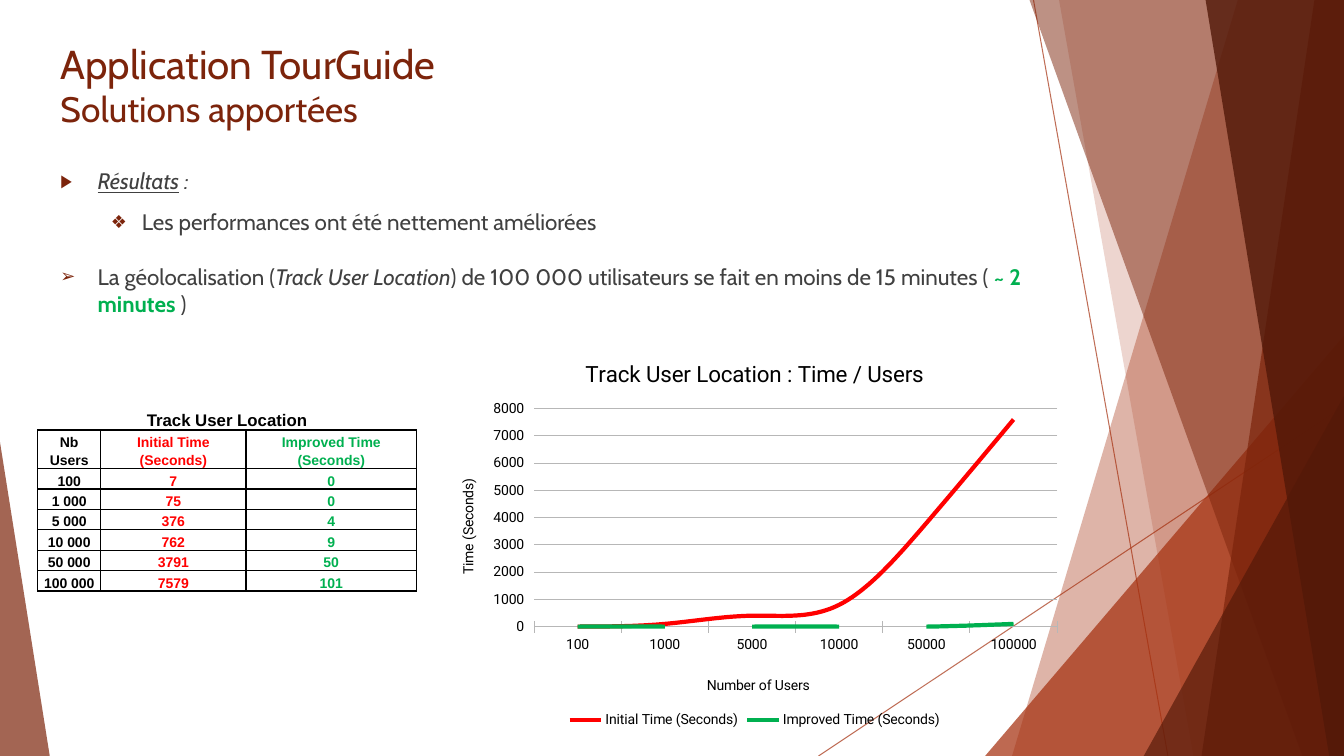
from lxml.etree import SubElement
from pptx import Presentation
from pptx.chart.data import CategoryChartData
from pptx.dml.color import RGBColor as RGB
from pptx.enum.chart import XL_CHART_TYPE as CT, XL_LEGEND_POSITION as LP
from pptx.enum.chart import XL_MARKER_STYLE as MS, XL_TICK_MARK as TM
from pptx.enum.shapes import MSO_CONNECTOR as CN, MSO_SHAPE as SH
from pptx.enum.text import MSO_ANCHOR as VA, MSO_AUTO_SIZE as FIT, PP_ALIGN as AL
from pptx.oxml.ns import qn
from pptx.util import Inches, Pt

COLORS = {"rust": "A5300F", "brown": "7C240B", "dark": "521808", "text": "404040",
          "black": "000000", "red": "FF0000", "green": "00B050", "grid": "B7B7B7"}
C = {name: RGB.from_string(value) for name, value in COLORS.items()}

prs = Presentation()
prs.slide_width, prs.slide_height = Inches(13.33), Inches(7.5)
s = prs.slides.add_slide(prs.slide_layouts[5])


def box(*shares):
    """Turn x, y, x, y... in percent of the slide into lengths."""
    sides = (prs.slide_width, prs.slide_height)
    return [round(share * sides[i % 2] / 100) for i, share in enumerate(shares)]


def add_run(p, text, size, color, font="Cabin", **style):
    """Append one formatted run to a paragraph."""
    r = p.add_run()
    r.text = text
    f = r.font
    f.size, f.name, f.color.rgb = Pt(size), font, C[color]
    f.bold, f.italic = style.get("bold", False), style.get("italic", False)
    f.underline = style.get("underline", False)


# Decoration: thin lines, then bands and corner triangles from back to front
decor = []
for ends in [(76.9, 0, 86.9, 100), (100, 53.7, 60.9, 100)]:
    line = s.shapes.add_connector(CN.STRAIGHT, *box(*ends))
    line.line.width = Pt(0.75)
    line.line.color.rgb = C["rust"]
    SubElement(line._element.spPr, qn("a:effectLst"))
    decor.append((line, 70))

# band: top x, bottom x; corner: left, top, width, apex
for kind, place, color, alpha in [
        ("band", (92.1, 75.3), "rust", 36),
        ("band", (78.8, 88.8), "rust", 20),
        ("corner", (73.3, 44.4, 26.7, 1), "rust", 72),
        ("band", (76.6, 96.9), "brown", 50),
        ("band", (97.8, 89.4), "brown", 70),
        ("band", (89.7, 98.9), "dark", 80),
        ("corner", (85.1, 52.4, 14.9, 1), "dark", 66),
        ("corner", (0, 58.5, 3.7, 0), "brown", 70)]:
    if kind == "band":
        top, bottom = place
        outline = s.shapes.build_freeform(*box(top, 0))
        outline.add_line_segments([box(100, 0), box(100, 100), box(bottom, 100)])
        shape = outline.convert_to_shape()
    else:
        left, top, width, apex = place
        shape = s.shapes.add_shape(SH.ISOSCELES_TRIANGLE, *box(left, top, width, 100 - top))
        shape.adjustments[0] = apex
    shape.shadow.inherit = False
    shape.fill.solid()
    shape.fill.fore_color.rgb = C[color]
    shape.line.fill.background()
    decor.append((shape, alpha))

for shape, alpha in decor:
    for clr in shape._element.iter(qn("a:srgbClr")):
        SubElement(clr, qn("a:alpha"), val=str(alpha * 1000))

# Title
title = s.shapes.title
title.left, title.top, title.width, title.height = box(3.75, 4.5, 70.5, 19.2)
tf = title.text_frame
tf.auto_size, tf.vertical_anchor = FIT.NONE, VA.TOP
p = tf.paragraphs[0]
p.alignment = AL.LEFT
add_run(p, "Application TourGuide", 28.8, "brown")
p.add_line_break()
add_run(p, "Solutions apportées", 25.2, "brown")

# Bulleted results: bullet, text indent, hanging, space before, runs
tf = s.shapes.add_textbox(*box(3.75, 21.5, 74.2, 22)).text_frame
tf.word_wrap = True
results = [
    ("▶", 0.37, 0.37, 10, [("Résultats", "text", {"italic": True, "underline": True}),
                           ("\u00a0:", "text", {"italic": True})]),
    ("❖", 0.81, 0.31, 10, [("Les performances ont été nettement améliorées", "text", {})]),
    ("➢", 0.37, 0.37, 20, [
        ("La géolocalisation (", "text", {}),
        ("Track User Location", "text", {"italic": True}),
        (") de 100\u00a0000 utilisateurs se fait en moins de 15 minutes ( ", "text", {}),
        ("~ 2 minutes ", "green", {"bold": True}),
        (")", "text", {})])]
for i, (bullet, indent, hanging, before, runs) in enumerate(results):
    p = tf.add_paragraph() if i else tf.paragraphs[0]
    p.space_before = Pt(before)
    for text, color, style in runs:
        add_run(p, text, 16, color, **style)
    pPr = p._p.get_or_add_pPr()
    pPr.set("marL", str(Inches(indent)))
    pPr.set("indent", str(-Inches(hanging)))
    SubElement(SubElement(pPr, qn("a:buClr")), qn("a:srgbClr"), val=COLORS["brown"])
    SubElement(pPr, qn("a:buSzPct"), val="80000")
    SubElement(pPr, qn("a:buFont"), typeface="Arial")
    SubElement(pPr, qn("a:buChar"), char=bullet)

# Timings shared by the table and, rounded to hundreds, the chart
users = [100, 1000, 5000, 10000, 50000, 100000]
series = [("Initial Time (Seconds)", [7, 75, 376, 762, 3791, 7579], "red"),
          ("Improved Time (Seconds)", [0, 0, 4, 9, 50, 101], "green")]

# Line chart
data = CategoryChartData()
data.categories = [str(n) for n in users]
for name, values, _ in series:
    data.add_series(name, [round(v, -2) for v in values])
chart = s.shapes.add_chart(CT.LINE, *box(32.7, 45.3, 46.9, 51.5), data).chart
chart.font.size, chart.font.name, chart.font.color.rgb = Pt(10), "Roboto", C["black"]
chart.has_legend = True
chart.legend.position, chart.legend.include_in_layout = LP.BOTTOM, False
cat, val = chart.category_axis, chart.value_axis
for owner, text, size in [(chart, "Track User Location : Time / Users", 16),
                          (cat, "Number of Users", 10), (val, "Time (Seconds)", 10)]:
    owner.has_title = True
    titled = owner.chart_title if owner is chart else owner.axis_title
    add_run(titled.text_frame.paragraphs[0], text, size, "black", "Roboto")
for axis in (cat, val):
    axis.major_tick_mark = TM.CROSS
cat.format.line.color.rgb = C["grid"]
val.format.line.fill.background()
val.minimum_scale, val.maximum_scale, val.major_unit = 0, 8000, 1000
val.major_gridlines.format.line.color.rgb = C["grid"]
val.major_gridlines.format.line.width = Pt(0.75)
plot = chart.plots[0]
plot.vary_by_categories = False
for drawn, (_, _, color) in zip(plot.series, series):
    drawn.smooth = True
    drawn.marker.style = MS.NONE
    drawn.format.line.color.rgb = C[color]
    drawn.format.line.width = Pt(3)

# Fixed places of the plot area and of the category title, in shares of the chart
edges = [("xMode", "edge"), ("yMode", "edge")]
for holder, index, settings in [
        (chart._chartSpace.chart.plotArea, 0, [("layoutTarget", "inner")] + edges
         + [("x", 0.15), ("y", 0.17), ("w", 0.83), ("h", 0.56)]),
        (cat.axis_title._element, 1, edges + [("x", 0.42), ("y", 0.85)])]:
    for old in holder.findall(qn("c:layout")):
        holder.remove(old)
    layout = SubElement(holder, qn("c:layout"))
    holder.insert(index, layout)
    manual = SubElement(layout, qn("c:manualLayout"))
    for tag, value in settings:
        SubElement(manual, qn("c:" + tag), val=str(value))

# Table: a borderless heading row over a fully ruled grid
rows = [["Track User Location", "", ""], ["Nb Users"] + [name for name, _, _ in series]]
rows += [[f"{n:,}".replace(",", " "), str(a), str(b)]
         for n, a, b in zip(users, series[0][1], series[1][1])]
table = s.shapes.add_table(len(rows), 3, *box(2.8, 53.8, 28.2, 21.6)).table
table.first_row = table.horz_banding = False
for column, share in zip(table.columns, (4.7, 10.8, 12.7)):
    column.width = box(share)[0]
for row in table.rows:
    row.height = box(0, 2.7)[1]
table.cell(0, 0).merge(table.cell(0, 2))
for i, row in enumerate(rows):
    for j, text in enumerate(row):
        cell = table.cell(i, j)
        cell.fill.background()
        cell.vertical_anchor = VA.BOTTOM
        cell.margin_left = cell.margin_right = Inches(0.05)
        cell.margin_top = cell.margin_bottom = 0
        p = cell.text_frame.paragraphs[0]
        p.alignment, p.line_spacing = AL.CENTER, 1.15
        if text:
            add_run(p, text, 10 if i else 12, ("black", "red", "green")[j], "Arial", bold=True)
        tcPr = cell._tc.get_or_add_tcPr()
        for k, side in enumerate(("lnL", "lnR", "lnT", "lnB")):
            ln = SubElement(tcPr, qn("a:" + side), w=str(Pt(1)))
            tcPr.insert(k, ln)
            if i or side == "lnB":
                SubElement(SubElement(ln, qn("a:solidFill")), qn("a:srgbClr"), val=COLORS["black"])
            else:
                SubElement(ln, qn("a:noFill"))

prs.save("out.pptx")
